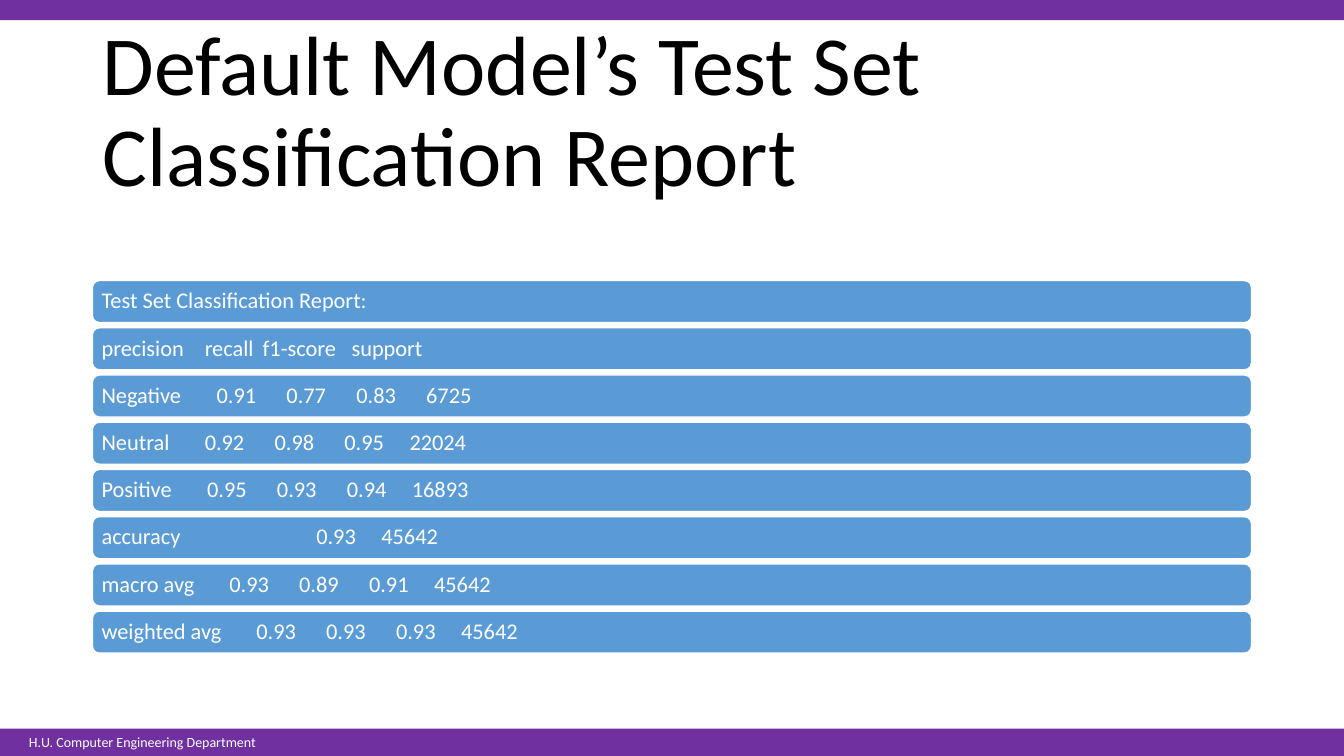
from lxml.etree import SubElement
from pptx import Presentation
from pptx.dml.color import RGBColor
from pptx.enum.shapes import MSO_SHAPE
from pptx.enum.text import MSO_ANCHOR, MSO_AUTO_SIZE, PP_ALIGN
from pptx.oxml.ns import qn
from pptx.util import Cm, Pt

WIDTH, HEIGHT = 33.87, 19.05
MARGIN, CONTENT_WIDTH = 2.33, 29.21
PURPLE, BLUE, WHITE, BLACK = "7030A0", "5B9BD5", "FFFFFF", "000000"
FOOTER_TOP, FOOTER_HEIGHT = 18.36, 0.69
ROW_TOP, ROW_PITCH, ROW_HEIGHT = 7.07, 1.19, 1.06
SCORE_STEP, LONG_SUPPORT_SHIFT = 1.76, 0.12

# Cells of each score row, and where its first number starts
SCORES = [
    (["Negative", "0.91", "0.77", "0.83", "6725"], 2.9),
    (["Neutral", "0.92", "0.98", "0.95", "22024"], 2.6),
    (["Positive", "0.95", "0.93", "0.94", "16893"], 2.66),
    (["accuracy", "0.93", "45642"], 5.41),
    (["macro avg", "0.93", "0.89", "0.91", "45642"], 3.22),
    (["weighted avg", "0.93", "0.93", "0.93", "45642"], 3.9),
]


def color(value):
    return RGBColor.from_string(value)


def score_stops(cells, start):
    """Even stops for the numbers, with five-digit support a little closer."""
    stops = [start + SCORE_STEP * i for i in range(len(cells) - 1)]
    if len(cells[-1]) == 5:
        stops[-1] -= LONG_SUPPORT_SHIFT
    return stops


class ReportSlide:
    font = "Calibri"

    def __init__(self, deck):
        self.slide = deck.slides.add_slide(deck.slide_layouts[5])

    def place(self, item, left, top, width, height):
        box = {"left": left, "top": top, "width": width, "height": height}
        for name, value in box.items():
            setattr(item, name, Cm(value))

    def set_text(self, item, text, size, ink, paragraph_format, **frame_format):
        frame = item.text_frame
        frame.text = text
        paragraph = frame.paragraphs[0]
        font = paragraph.runs[0].font
        font.color.rgb = color(ink)
        formats = [
            (frame, {"vertical_anchor": MSO_ANCHOR.MIDDLE, "word_wrap": True, **frame_format}),
            (paragraph, {"alignment": PP_ALIGN.LEFT, **paragraph_format}),
            (font, {"name": self.font, "size": Pt(size)}),
        ]
        for target, values in formats:
            for name, value in values.items():
                setattr(target, name, value)
        return paragraph

    def title(self, text):
        heading = self.slide.shapes.title
        self.place(heading, MARGIN, 1.02, CONTENT_WIDTH, 3.68)
        self.set_text(heading, text, 60, BLACK, {"line_spacing": 0.9},
                      auto_size=MSO_AUTO_SIZE.NONE)

    def block(self, kind, fill, left, top, width, height):
        block = self.slide.shapes.add_shape(kind, Cm(left), Cm(top), Cm(width), Cm(height))
        block.shadow.inherit = False
        block.fill.solid()
        block.fill.fore_color.rgb = color(fill)
        block.line.fill.background()
        return block

    def band(self, top, height):
        self.block(MSO_SHAPE.RECTANGLE, PURPLE, 0, top, WIDTH, height)

    def footer(self, text):
        self.band(FOOTER_TOP, FOOTER_HEIGHT)
        label = self.slide.shapes.add_textbox(Cm(0.48), Cm(FOOTER_TOP), Cm(6.32), Cm(FOOTER_HEIGHT))
        self.set_text(label, text, 10, WHITE, {}, word_wrap=False)

    def report_row(self, index, cells, stops):
        bar = self.block(MSO_SHAPE.ROUNDED_RECTANGLE, BLUE, MARGIN,
                         ROW_TOP + index * ROW_PITCH, CONTENT_WIDTH, ROW_HEIGHT)
        bar.line.color.rgb = color(WHITE)
        bar.line.width = Pt(1)
        sides = ("left", "top", "right", "bottom")
        paragraph = self.set_text(bar, "\t".join(cells), 16, WHITE,
                                  {"line_spacing": 0.9},
                                  **{f"margin_{side}": Cm(0.18) for side in sides})
        if stops:
            tabs = SubElement(paragraph._p.get_or_add_pPr(), qn("a:tabLst"))
            for stop in stops:
                SubElement(tabs, qn("a:tab"), pos=str(Cm(stop)), algn="l")


def main():
    deck = Presentation()
    deck.slide_width, deck.slide_height = Cm(WIDTH), Cm(HEIGHT)
    report = ReportSlide(deck)
    report.footer("H.U. Computer Engineering Department")
    report.band(0, 0.51)
    report.title("Default Model’s Test Set Classification Report")
    rows = [
        (["Test Set Classification Report:"], []),
        (["precision", "recall", "f1-score", "support"], [2.6, 4.06, 6.3]),
    ]
    rows += [(cells, score_stops(cells, start)) for cells, start in SCORES]
    for index, (cells, stops) in enumerate(rows):
        report.report_row(index, cells, stops)
    deck.save("out.pptx")


if __name__ == "__main__":
    main()
